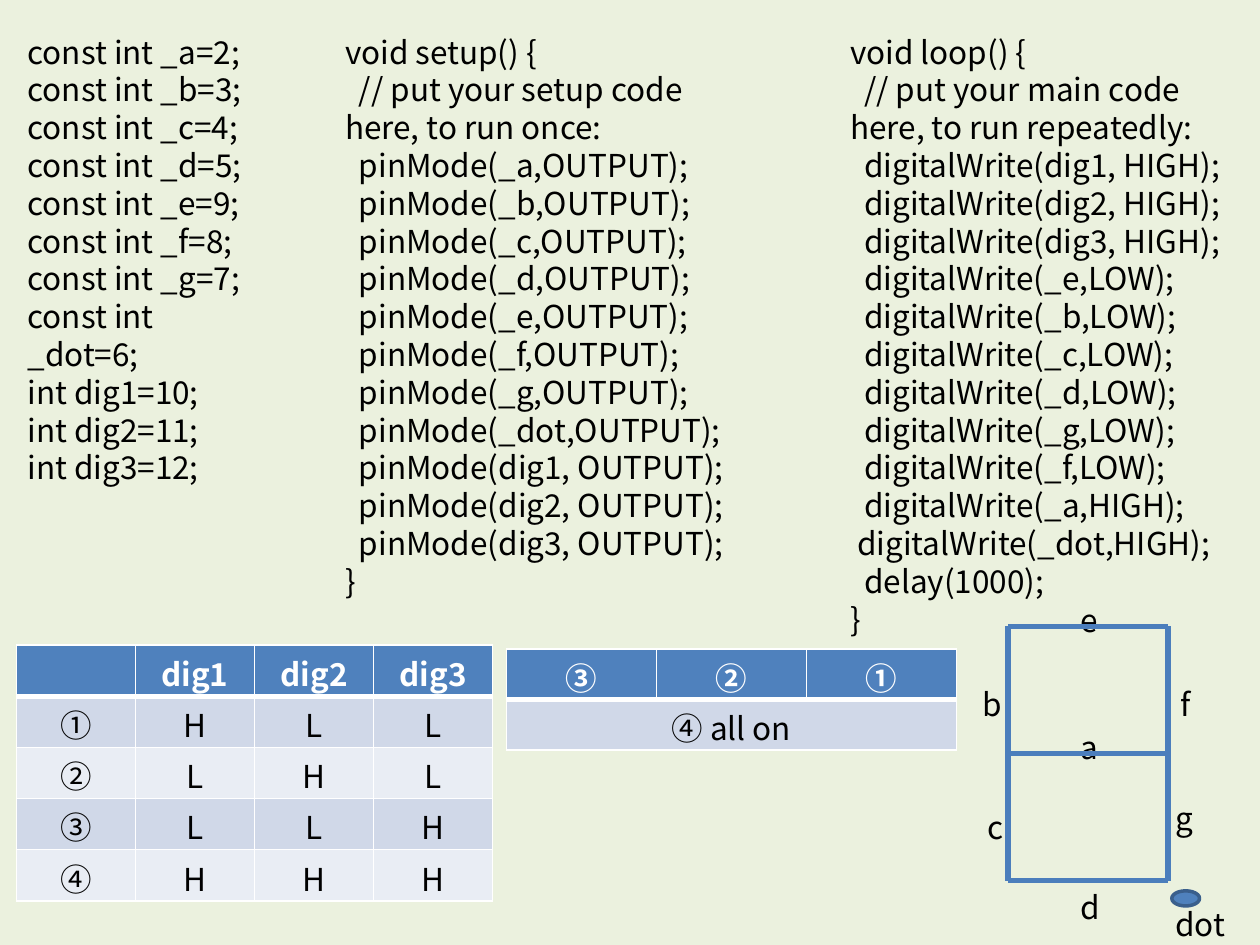
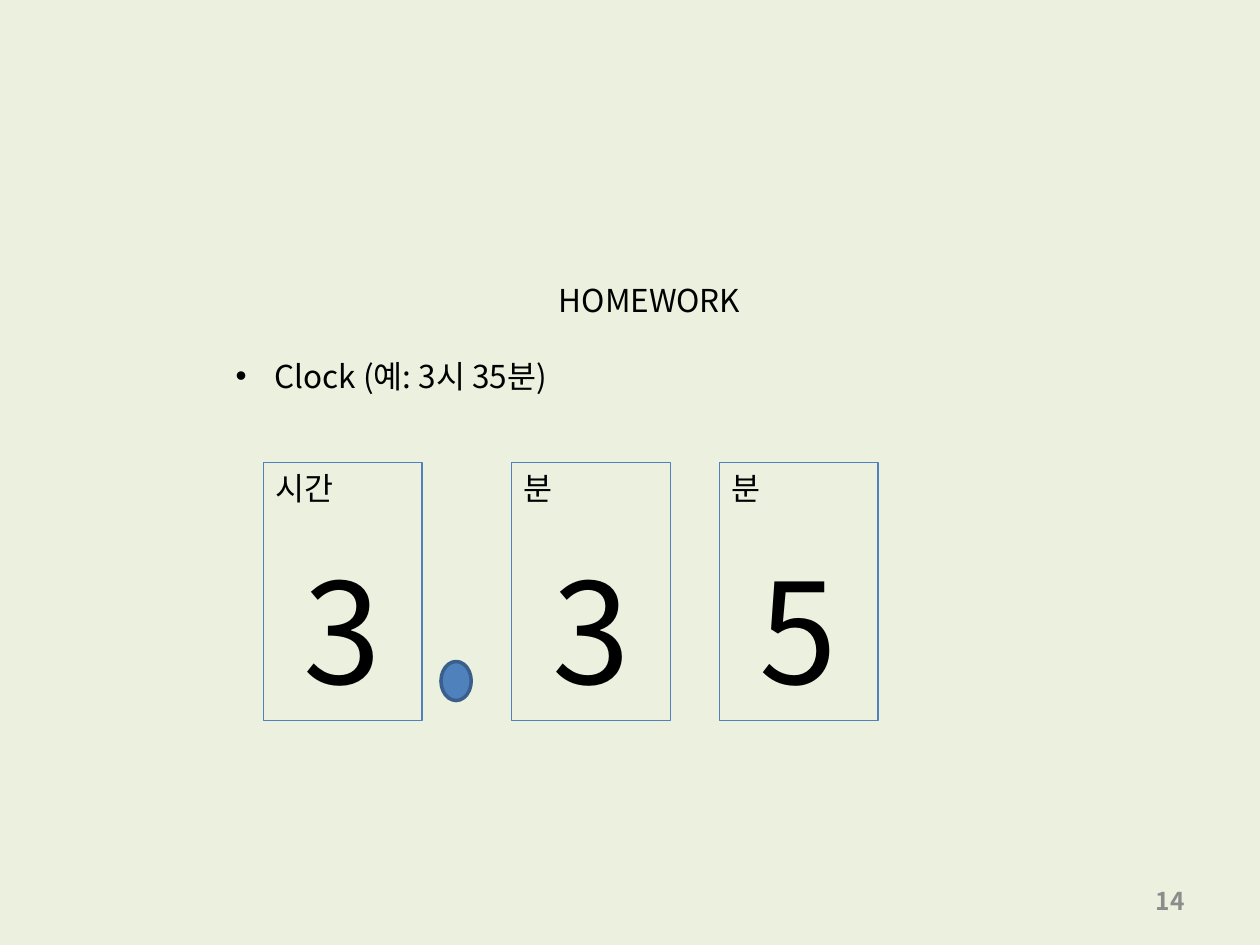
from pptx import Presentation
from pptx.dml.color import RGBColor
from pptx.enum.shapes import MSO_CONNECTOR, MSO_SHAPE
from pptx.enum.text import MSO_ANCHOR, MSO_AUTO_SIZE, PP_ALIGN
from pptx.oxml import parse_xml
from pptx.oxml.ns import nsdecls, qn
from pptx.oxml.xmlchemy import OxmlElement
from pptx.util import Inches, Pt

LINE = MSO_CONNECTOR.STRAIGHT
RECT, OVAL = MSO_SHAPE.RECTANGLE, MSO_SHAPE.OVAL
TOP, MIDDLE = MSO_ANCHOR.TOP, MSO_ANCHOR.MIDDLE
LEFT, CENTER, RIGHT = PP_ALIGN.LEFT, PP_ALIGN.CENTER, PP_ALIGN.RIGHT
FIXED = MSO_AUTO_SIZE.NONE

FONT = "Noto Sans CJK KR"
COLORS = {
    "back": "EBF1DE", "text": "000000", "white": "FFFFFF", "page": "8C8C8C",
    "blue": "4F81BD", "edge": "3A5F8C", "segment": "4B7EBC",
    "odd": "D0D8E8", "even": "E9EDF4",
}
SPACE = 0.055  # width of one code space, in inches

PINS = """const int _a=2;
const int _b=3;
const int _c=4;
const int _d=5;
const int _e=9;
const int _f=8;
const int _g=7;
const int _dot=6;
int dig1=10;
int dig2=11;
int dig3=12;"""
SETUP = """void setup() {
  // put your setup code here, to run once:
  pinMode(_a,OUTPUT);
  pinMode(_b,OUTPUT);
  pinMode(_c,OUTPUT);
  pinMode(_d,OUTPUT);
  pinMode(_e,OUTPUT);
  pinMode(_f,OUTPUT);
  pinMode(_g,OUTPUT);
  pinMode(_dot,OUTPUT);
  pinMode(dig1, OUTPUT);
  pinMode(dig2, OUTPUT);
  pinMode(dig3, OUTPUT);
}"""
LOOP = """void loop() {
  // put your main code here, to run repeatedly:
  digitalWrite(dig1, HIGH);
  digitalWrite(dig2, HIGH);
  digitalWrite(dig3, HIGH);
  digitalWrite(_e,LOW);
  digitalWrite(_b,LOW);
  digitalWrite(_c,LOW);
  digitalWrite(_d,LOW);
  digitalWrite(_g,LOW);
  digitalWrite(_f,LOW);
  digitalWrite(_a,HIGH);
 digitalWrite(_dot,HIGH);
  delay(1000);
}"""


def color(name):
    return RGBColor.from_string(COLORS[name])


def box(left, top, width, height):
    return [Inches(n) for n in (left, top, width, height)]


def style(para, size=18, tint="text", bold=False, align=LEFT, before=0):
    para.alignment = align
    para.line_spacing = Pt(size * 1.2)
    para.space_before = Pt(before)
    font = para.font
    font.size, font.bold, font.name = Pt(size), bold, FONT
    font.color.rgb = color(tint)
    asian = OxmlElement("a:ea")
    asian.set("typeface", FONT)
    para._p.pPr.find(qn("a:defRPr")).append(asian)


def indent(para, margin, first):
    para._p.pPr.set("marL", str(Inches(margin)))
    para._p.pPr.set("indent", str(Inches(first)))


def setup(frame, anchor=TOP):
    frame.word_wrap = True
    frame.auto_size = FIXED
    frame.vertical_anchor = anchor


def add_text(slide, text, area, anchor=TOP, **look):
    """Add a text box; leading spaces become first-line indents."""
    frame = slide.shapes.add_textbox(*box(*area)).text_frame
    setup(frame, anchor)
    for i, line in enumerate(text.split("\n")):
        para = frame.add_paragraph() if i else frame.paragraphs[0]
        para.text = line.strip()
        style(para, **look)
        depth = len(line) - len(line.lstrip())
        if depth:
            indent(para, 0, depth * SPACE)


def fill_holder(holder, text, area, align):
    holder.left, holder.top, holder.width, holder.height = box(*area)
    setup(holder.text_frame)
    para = holder.text_frame.paragraphs[0]
    para.text = text
    style(para, align=align)
    return para


def add_shape(slide, kind, area, edge, width, fill=None):
    shape = slide.shapes.add_shape(kind, *box(*area))
    shape.shadow.inherit = False
    if fill:
        shape.fill.solid()
        shape.fill.fore_color.rgb = color(fill)
    else:
        shape.fill.background()
    shape.line.color.rgb = color(edge)
    shape.line.width = Pt(width)
    return shape


def add_dot(slide, *area):
    add_shape(slide, OVAL, area, "edge", 2, "blue")


def add_line(slide, *ends):
    line = slide.shapes.add_connector(LINE, *box(*ends))
    line.line.color.rgb = color("segment")
    line.line.width = Pt(3)
    line._element.spPr.append(OxmlElement("a:effectLst"))


def add_border(cell, row):
    """Draw white sides, with a thick rule below the header row."""
    widths = {"L": 1, "R": 1, "T": 3 if row == 1 else 1, "B": 1 if row else 3}
    for i, (side, width) in enumerate(widths.items()):
        cell._tc.tcPr.insert(i, parse_xml(
            f'<a:ln{side} {nsdecls("a")} w="{Pt(width)}"><a:solidFill>'
            f'<a:srgbClr val="{COLORS["white"]}"/></a:solidFill></a:ln{side}>'))


def add_grid(slide, rows, area):
    shape = slide.shapes.add_table(len(rows), len(rows[0]), *box(*area))
    table = shape.table
    for r, row in enumerate(rows):
        for c, text in enumerate(row):
            cell = table.cell(r, c)
            cell.margin_top = Inches(0.1 if text else 0)
            cell.margin_bottom = 0
            cell.fill.solid()
            shade = "odd" if r % 2 else "even"
            cell.fill.fore_color.rgb = color(shade if r else "blue")
            add_border(cell, r)
            cell.text = text
            style(cell.text_frame.paragraphs[0], bold=not r, align=CENTER,
                  tint="text" if r else "white")
    return table


def add_digit(slide, label, digit, left):
    shape = add_shape(slide, RECT, (left, 3.67, 1.26, 2.05), "blue", 0.75)
    frame = shape.text_frame
    setup(frame)
    para = frame.paragraphs[0]
    para.text = label
    style(para)
    para = frame.add_paragraph()
    para.text = digit
    style(para, size=80, align=CENTER, before=21.6)


def add_display(slide):
    """Draw the seven segments, their letters and the dot."""
    labels = [("c", 7.74, 6.36), ("b", 7.7, 5.39), ("f", 9.27, 5.39),
              ("a", 8.48, 5.73), ("e", 8.48, 4.72), ("g", 9.23, 6.29),
              ("d", 8.48, 7), ("dot", 9.23, 7.13)]
    for text, x, y in labels:
        add_text(slide, text, (x, y, 0.66 if text == "dot" else 0.3, 0.25))
    left, right, top, mid, base = 8, 9.27, 4.97, 5.98, 6.99
    for y in (top, mid, base):
        add_line(slide, left, y, right, y)
    for x in (left, right):
        add_line(slide, x, top, x, base)
    add_dot(slide, 9.3, 7.07, 0.22, 0.12)


def build_code(deck):
    slide = deck.slides.add_slide(deck.slide_layouts[6])
    add_text(slide, PINS, (0.12, 0.21, 2.13, 3.43))
    add_text(slide, SETUP, (2.64, 0.21, 3.31, 4.64))
    add_text(slide, LOOP, (6.65, 0.21, 3.31, 4.95))
    add_grid(slide, [["", "dig1", "dig2", "dig3"], "①HLL", "②LHL", "③LLH",
                     "④HHH"], (0.13, 5.12, 3.78, 2.03))
    order = add_grid(slide, ["③②①", ["④ all on", "", ""]],
                     (4.02, 5.15, 3.57, 0.8))
    order.cell(1, 0).merge(order.cell(1, 2))
    add_display(slide)


def build_clock(deck):
    slide = deck.slides.add_slide(deck.slide_layouts[1])
    title, body = slide.placeholders
    fill_holder(title, "HOMEWORK", (1.77, 2.18, 6.77, 0.4), CENTER)
    para = fill_holder(body, "Clock (예: 3시 35분)",
                       (1.77, 2.78, 6.77, 0.41), LEFT)
    indent(para, 0.31, -0.31)
    add_dot(slide, 3.5, 5.25, 0.24, 0.31)
    for label, digit, left in (("시간", "3", 2.09), ("분", "3", 4.06),
                               ("분", "5", 5.71)):
        add_digit(slide, label, digit, left)
    add_text(slide, "14", (7.17, 6.95, 2.33, 0.4), MIDDLE,
             size=14, tint="page", bold=True, align=RIGHT)


def main():
    deck = Presentation()
    deck.slide_width, deck.slide_height = Inches(10), Inches(7.5)
    back = deck.slide_master.background.fill
    back.solid()
    back.fore_color.rgb = color("back")
    build_code(deck)
    build_clock(deck)
    deck.save("out.pptx")


if __name__ == "__main__":
    main()
